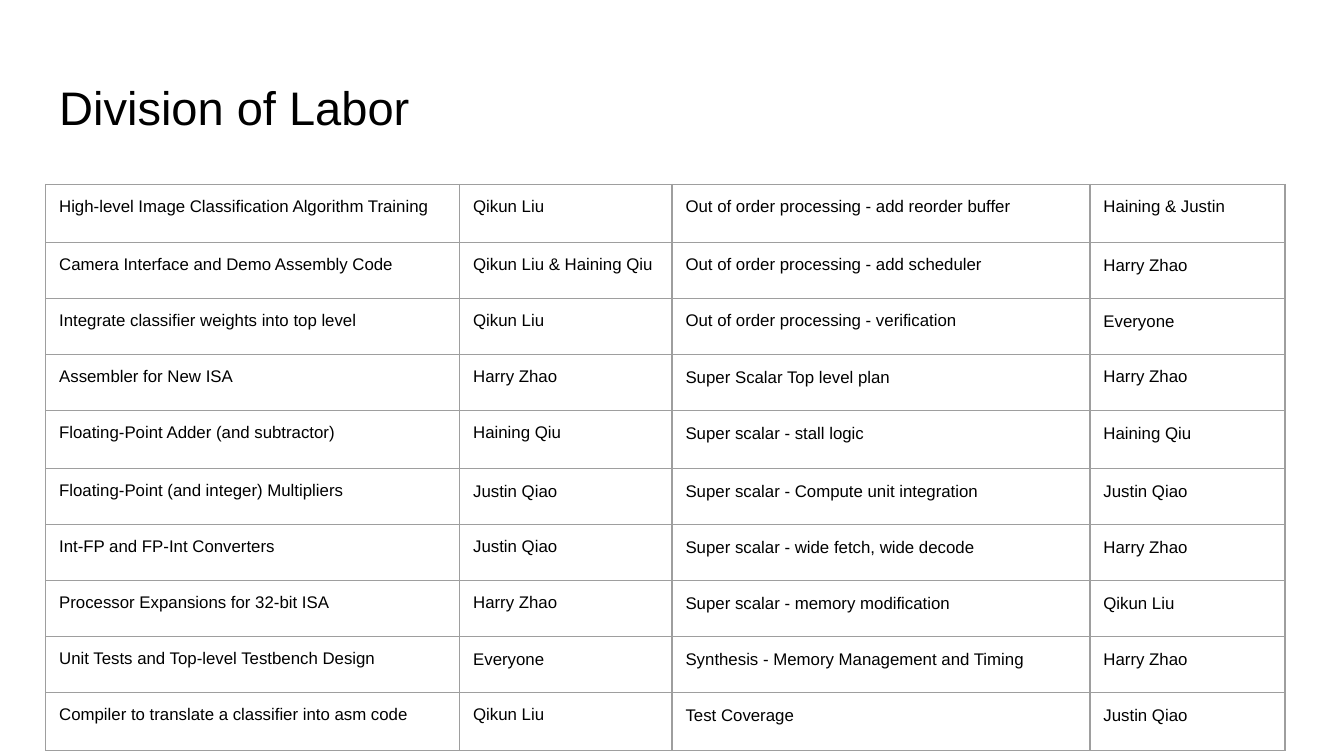
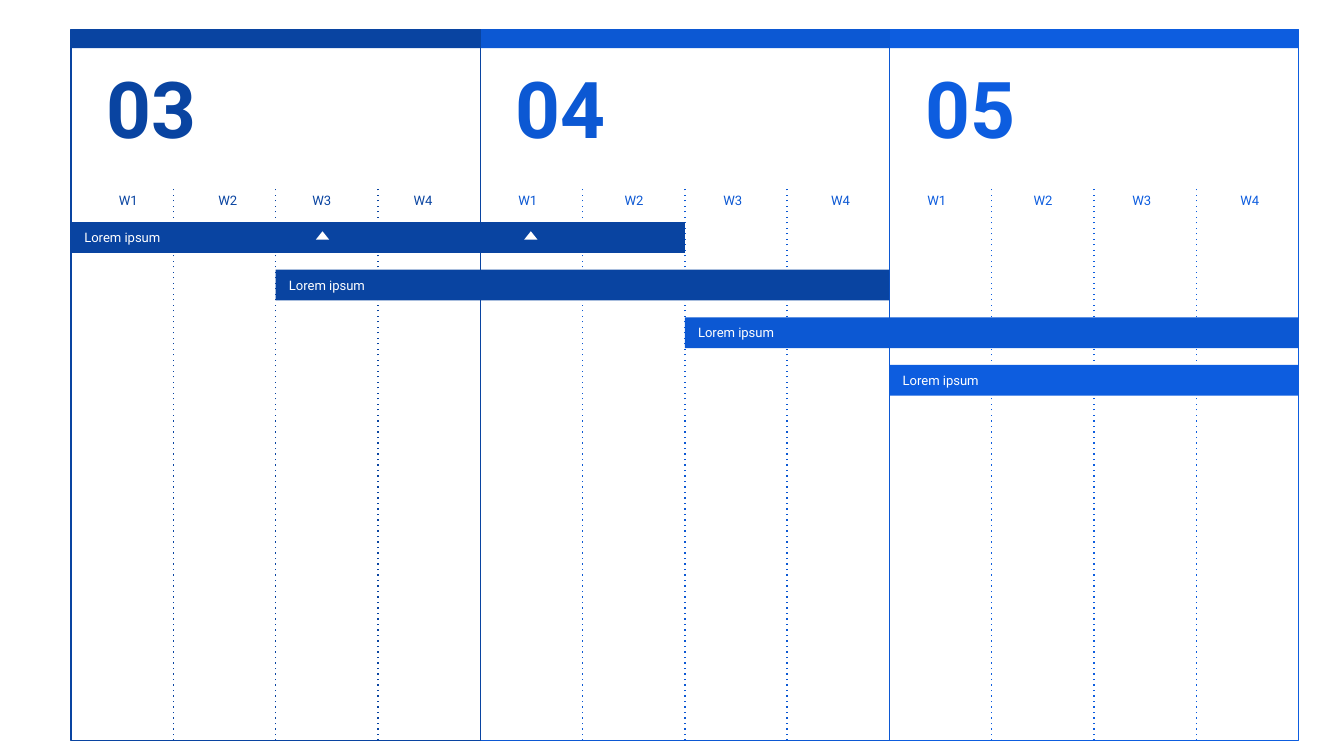
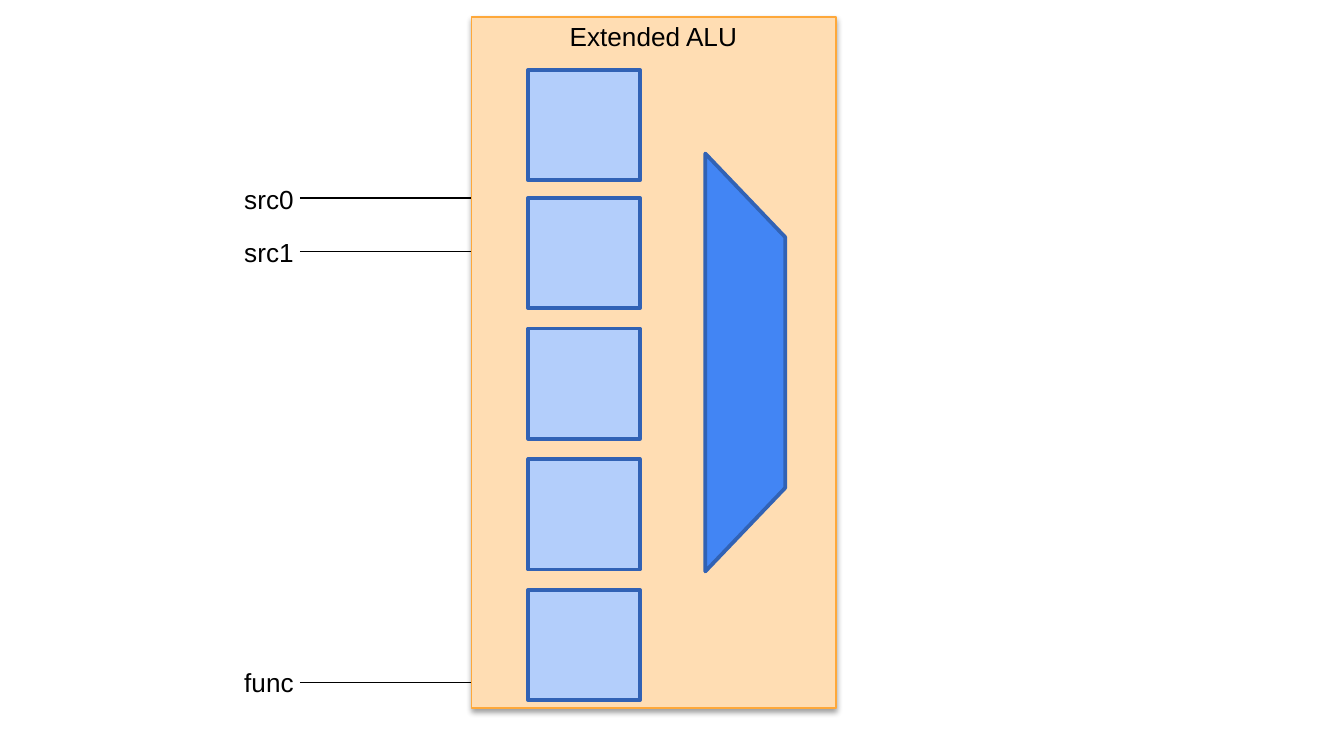
from lxml import etree
from pptx import Presentation
from pptx.dml.color import RGBColor
from pptx.enum.shapes import MSO_CONNECTOR, MSO_SHAPE
from pptx.enum.text import MSO_ANCHOR, MSO_AUTO_SIZE, PP_ALIGN
from pptx.oxml.ns import qn
from pptx.util import Pt

RECT = MSO_SHAPE.RECTANGLE
PEAK = MSO_SHAPE.ISOSCELES_TRIANGLE
MUX = MSO_SHAPE.FLOWCHART_MANUAL_OPERATION
LINE = MSO_CONNECTOR.STRAIGHT
LEFT, MID = PP_ALIGN.LEFT, PP_ALIGN.CENTER
TOP, HALF = MSO_ANCHOR.TOP, MSO_ANCHOR.MIDDLE
GROW, FIXED = MSO_AUTO_SIZE.SHAPE_TO_FIT_TEXT, MSO_AUTO_SIZE.NONE

HUES = {
    "ink": "000000", "paper": "FFFFFF", "grid": "9E9E9E",
    "deep": "0944A1", "blue": "0C58D3", "light": "0D5DDF",
    "sand": "FFDDB3", "amber": "FEA83A",
    "sky": "B3CEFB", "azure": "4285F4", "steel": "3162B5",
}
SANS, ROBO = "Arial", "Roboto"
PAD = 7.2
THIN = 0.75

# Division of labor
TASKS = [
    ("High-level Image Classification Algorithm Training", "Qikun Liu",
     "Out of order processing - add reorder buffer", "Haining & Justin"),
    ("Camera Interface and Demo Assembly Code", "Qikun Liu & Haining Qiu",
     "Out of order processing - add scheduler", "Harry Zhao"),
    ("Integrate classifier weights into top level", "Qikun Liu",
     "Out of order processing - verification", "Everyone"),
    ("Assembler for New ISA", "Harry Zhao",
     "Super Scalar Top level plan", "Harry Zhao"),
    ("Floating-Point Adder (and subtractor)", "Haining Qiu",
     "Super scalar - stall logic", "Haining Qiu"),
    ("Floating-Point (and integer) Multipliers", "Justin Qiao",
     "Super scalar - Compute unit integration", "Justin Qiao"),
    ("Int-FP and FP-Int Converters", "Justin Qiao",
     "Super scalar - wide fetch, wide decode", "Harry Zhao"),
    ("Processor Expansions for 32-bit ISA", "Harry Zhao",
     "Super scalar - memory modification", "Qikun Liu"),
    ("Unit Tests and Top-level Testbench Design", "Everyone",
     "Synthesis - Memory Management and Timing", "Harry Zhao"),
    ("Compiler to translate a classifier into asm code", "Qikun Liu",
     "Test Coverage", "Justin Qiao"),
]
COLS = [221.8, 113.8, 223.9, 104.4]
TALL = {0, 4, 9}
# Rows, by column, that keep plain line spacing
PLAIN = [set(), {5, 8}, set(range(3, 10)), set(range(1, 10)) - {3}]

# Timeline: label, hue, centres of the week labels
MONTHS = [
    ("03", "deep", [30.6, 83.9, 134.3, 188.5]),
    ("04", "blue", [25.4, 82.3, 135.2, 193]),
    ("05", "light", [25.4, 82.3, 135.2, 193]),
]
BARS = [(0, 6, "deep"), (2, 6, "deep"), (6, 6, "blue"), (8, 4, "light")]
START, WEEK = 38.1, 54.8
MONTH = 4 * WEEK


def rgb(hue):
    return RGBColor.from_string(HUES[hue])


def add_run(para, text, size, hue, font=SANS, bold=False):
    run = para.add_run()
    run.text = text
    run.font.size, run.font.name, run.font.bold = Pt(size), font, bold
    run.font.color.rgb = rgb(hue)


def set_frame(frame, anchor, pads=(PAD, PAD), fit=FIXED):
    frame.word_wrap = True
    frame.auto_size = fit
    frame.vertical_anchor = anchor
    frame.margin_left = frame.margin_right = Pt(pads[0])
    frame.margin_top = frame.margin_bottom = Pt(pads[1])


def add_text(slide, box, text, size, hue, font=SANS, bold=False,
             align=LEFT, anchor=TOP, pads=(PAD, PAD), fit=FIXED):
    frame = slide.shapes.add_textbox(*map(Pt, box)).text_frame
    set_frame(frame, anchor, pads, fit)
    frame.paragraphs[0].alignment = align
    add_run(frame.paragraphs[0], text, size, hue, font, bold)


def add_box(slide, kind, box, fill=None, edge=None, width=THIN):
    shape = slide.shapes.add_shape(kind, *map(Pt, box))
    shape.shadow.inherit = False
    if fill:
        shape.fill.solid()
        shape.fill.fore_color.rgb = rgb(fill)
    else:
        shape.fill.background()
    if edge:
        shape.line.color.rgb = rgb(edge)
        shape.line.width = Pt(width)
    else:
        shape.line.fill.background()
    return shape


def add_line(slide, start, end, hue, dotted=False):
    link = slide.shapes.add_connector(LINE, *map(Pt, start + end))
    link.line.color.rgb = rgb(hue)
    link.line.width = Pt(THIN)
    props = link._element.spPr
    if dotted:
        etree.SubElement(props.find(qn("a:ln")), qn("a:prstDash"), val="dot")
    etree.SubElement(props, qn("a:effectLst"))


def add_shade(shape):
    effects = shape._element.spPr.find(qn("a:effectLst"))
    shade = etree.SubElement(
        effects, qn("a:outerShdw"), blurRad=str(Pt(3.1)),
        dist=str(Pt(1.6)), dir="5400000", algn="bl", rotWithShape="0")
    tint = etree.SubElement(shade, qn("a:srgbClr"), val=HUES["ink"])
    etree.SubElement(tint, qn("a:alpha"), val="38000")


def add_edges(cell):
    props = cell._tc.get_or_add_tcPr()
    for side in "LRTB":
        edge = etree.SubElement(props, qn("a:ln" + side), w=str(Pt(THIN)))
        fill = etree.SubElement(edge, qn("a:solidFill"))
        etree.SubElement(fill, qn("a:srgbClr"), val=HUES["grid"])


def fill_cell(cell, text, plain):
    add_edges(cell)
    cell.fill.background()
    cell.margin_left = cell.margin_right = Pt(PAD)
    cell.margin_top = cell.margin_bottom = Pt(PAD)
    para = cell.text_frame.paragraphs[0]
    if not plain:
        para.line_spacing = 0.95
        para.space_after = Pt(12)
    add_run(para, text, 9, "ink")


def labor_slide(deck):
    slide = deck.slides.add_slide(deck.slide_layouts[5])
    title = slide.shapes.title
    title.left, title.top, title.width, title.height = map(
        Pt, (24.5, 35, 671, 45.4))
    set_frame(title.text_frame, TOP)
    para = title.text_frame.paragraphs[0]
    para.alignment = LEFT
    add_run(para, "Division of Labor", 25.2, "ink")

    table = slide.shapes.add_table(
        len(TASKS), len(COLS), Pt(24.5), Pt(98.8), Pt(sum(COLS)),
        Pt(312.5)).table
    table.first_row = table.horz_banding = False
    for col, width in zip(table.columns, COLS):
        col.width = Pt(width)
    for row, texts in enumerate(TASKS):
        table.rows[row].height = Pt(31.1 if row in TALL else 30)
        for col, text in enumerate(texts):
            fill_cell(table.cell(row, col), text, row in PLAIN[col])


def add_month(slide, left, label, hue, mids):
    add_box(slide, RECT, (left, 15.8, MONTH, 381), edge=hue)
    add_box(slide, RECT, (left, 15.8, MONTH, 10), fill=hue)
    add_text(slide, (left, 26, 86.4, 62.6), label, 42, hue, ROBO, True,
             MID, HALF)
    for week, mid in enumerate(mids, 1):
        add_text(slide, (left + mid - 18.7, 100.1, 37.4, 14.4), f"W{week}",
                 7, hue, ROBO, align=MID, anchor=HALF)
    for week in range(1, 4):
        side = left + week * WEEK
        add_line(slide, (side, 396.8), (side, 100.1), hue, dotted=True)


def plan_slide(deck):
    slide = deck.slides.add_slide(deck.slide_layouts[6])
    for index in (2, 1, 0):
        add_month(slide, START + index * MONTH, *MONTHS[index])
    # Task bars and milestones
    for row, (first, weeks, hue) in enumerate(BARS):
        bar = add_box(slide, RECT, (START + first * WEEK, 119 + row * 25.5,
                                    weeks * WEEK, 16.5), fill=hue)
        set_frame(bar.text_frame, HALF)
        para = bar.text_frame.paragraphs[0]
        para.alignment = LEFT
        add_run(para, "Lorem ipsum", 7, "paper", ROBO)
    for left in (169.2, 280.8):
        add_box(slide, PEAK, (left, 123.9, 7.2, 4.5), fill="paper")


def unit_slide(deck):
    slide = deck.slides.add_slide(deck.slide_layouts[6])
    add_shade(add_box(slide, RECT, (252.7, 9.2, 195.1, 370.2),
                      "sand", "amber"))
    add_text(slide, (298.1, 7.4, 105.1, 24.2), "Extended ALU", 14, "ink",
             pads=(PAD, 3.6), fit=GROW)
    # Inputs: name, wire height, label top
    for name, wire, top in (("src0", 106, 94.5), ("src1", 134.8, 123.1),
                            ("func", 365.6, 353.5)):
        add_line(slide, (160.6, wire), (252.3, wire), "ink")
        add_text(slide, (123.8, top, 50.4, 24.2), name, 14, "ink",
                 pads=(PAD, 3.6), fit=GROW)
    # Function units and the multiplexer
    for top in (37.5, 106, 176, 246, 316):
        add_box(slide, RECT, (283, top, 59.8, 59.2), "sky", "steel", 2)
    mux = add_box(slide, MUX, (287.3, 172.8, 223.9, 42.8),
                  "azure", "steel", 2)
    mux.rotation = 270


def main():
    deck = Presentation()
    deck.slide_width, deck.slide_height = Pt(720), Pt(405)
    labor_slide(deck)
    plan_slide(deck)
    unit_slide(deck)
    deck.save("out.pptx")


main()
